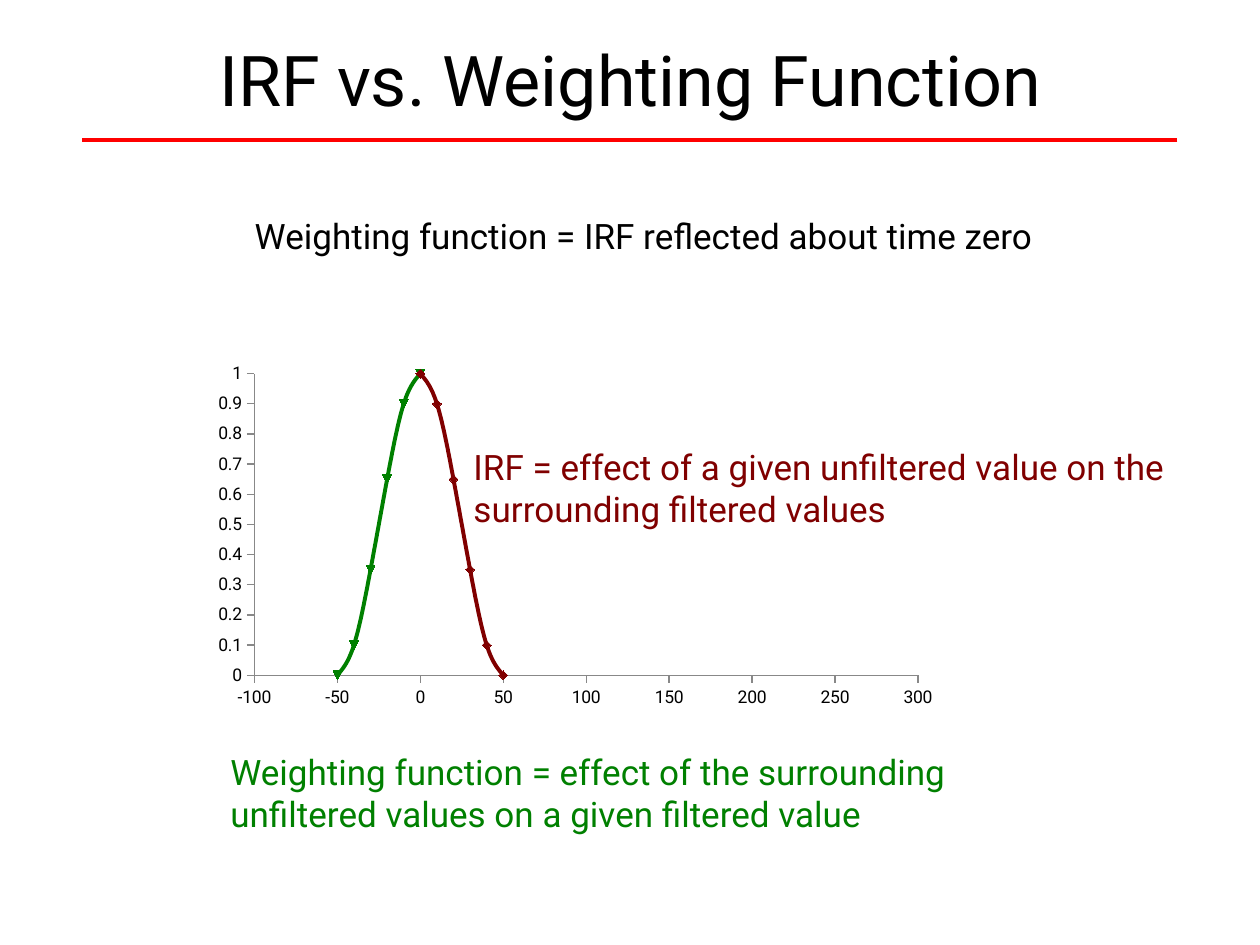
import math

import pptx
import pptx.chart.data
import pptx.dml.color
import pptx.enum.chart
import pptx.enum.shapes
import pptx.enum.text
import pptx.util
from lxml import etree
from pptx.oxml import ns

WIDTH, HEIGHT = 10, 7.5
FONT = "Roboto"
BLACK, RED, MAROON, GREEN, GRAY = "000000", "FF0000", "800000", "008000", "888888"
HALF_WIDTH, STEP, LAST_TIME = 50, 10, 250


def color(hex_value):
    """Return the colour for a hex string."""
    return pptx.dml.color.RGBColor.from_string(hex_value)


def place(left, top, width, height):
    """Convert a box given in percent of the slide to lengths."""
    return [pptx.util.Inches(percent * side / 100)
            for percent, side in zip((left, top, width, height), (WIDTH, HEIGHT) * 2)]


def style_font(font, size, hex_value):
    """Set typeface, size and colour."""
    font.name = FONT
    font.size = pptx.util.Pt(size)
    font.color.rgb = color(hex_value)


def style_line(line, hex_value, width):
    """Set line colour and width in points."""
    line.color.rgb = color(hex_value)
    line.width = pptx.util.Pt(width)


def write(frame, words, size, hex_value, align):
    """Write one aligned run into a wrapping text frame."""
    frame.word_wrap = True
    paragraph = frame.paragraphs[0]
    paragraph.alignment = align
    run = paragraph.add_run()
    run.text = words
    style_font(run.font, size, hex_value)


def add_title(slide, words):
    """Fill the title placeholder across the top of the slide."""
    title = slide.shapes.title
    title.left, title.top, title.width, title.height = place(5, 0, 90, 16.67)
    title.text_frame.vertical_anchor = pptx.enum.text.MSO_ANCHOR.MIDDLE
    write(title.text_frame, words, 40, BLACK, pptx.enum.text.PP_ALIGN.CENTER)


def add_rule(slide, margin, height):
    """Draw the red rule below the title."""
    left, top, right, bottom = place(margin, height, 100 - margin, height)
    rule = slide.shapes.add_connector(
        pptx.enum.shapes.MSO_CONNECTOR.STRAIGHT, right, top, left, bottom)
    style_line(rule.line, RED, 2.25)
    etree.SubElement(rule._element.spPr, ns.qn("a:effectLst"))


def add_statement(slide, box, words, hex_value, align=pptx.enum.text.PP_ALIGN.LEFT):
    """Add a 20 point statement."""
    statement = slide.shapes.add_textbox(*place(*box))
    write(statement.text_frame, words, 20, hex_value, align)
    statement.text_frame.auto_size = pptx.enum.text.MSO_AUTO_SIZE.SHAPE_TO_FIT_TEXT


def set_plot_area(chart, **percents):
    """Fix the inner plot area in percent of the chart."""
    plot_area = chart._chartSpace.chart.plotArea
    for old in plot_area.findall(ns.qn("c:layout")):
        plot_area.remove(old)
    layout = etree.Element(ns.qn("c:layout"))
    manual = etree.SubElement(layout, ns.qn("c:manualLayout"))
    settings = {"layoutTarget": "inner", "xMode": "edge", "yMode": "edge"}
    settings.update((side, percent / 100) for side, percent in percents.items())
    for tag, value in settings.items():
        etree.SubElement(manual, ns.qn(f"c:{tag}")).set("val", str(value))
    plot_area.insert(0, layout)


def style_axis(axis, low, high, unit):
    """Set the scale of an axis and show it without gridlines."""
    axis.minimum_scale, axis.maximum_scale, axis.major_unit = low, high, unit
    axis.has_major_gridlines = False
    axis.major_tick_mark = pptx.enum.chart.XL_TICK_MARK.OUTSIDE
    axis.minor_tick_mark = pptx.enum.chart.XL_TICK_MARK.NONE
    axis.crosses = pptx.enum.chart.XL_AXIS_CROSSES.MINIMUM
    axis.tick_labels.number_format = "General"
    axis.tick_labels.number_format_is_linked = False
    style_line(axis.format.line, GRAY, 0.75)


def style_curve(curve, hex_value):
    """Smooth and colour a curve, leaving gaps where it has no value."""
    curve._element.find(ns.qn("c:smooth")).set("val", "1")
    for point in list(curve._element.iter(ns.qn("c:pt"))):
        if point.findtext(ns.qn("c:v")) == "None":
            point.getparent().remove(point)
    style_line(curve.format.line, hex_value, 2.25)
    curve.marker.style = pptx.enum.chart.XL_MARKER_STYLE.AUTOMATIC
    curve.marker.size = 5
    curve.marker.format.fill.solid()
    curve.marker.format.fill.fore_color.rgb = color(hex_value)
    style_line(curve.marker.format.line, hex_value, 0.75)


def add_response_chart(slide, box):
    """Plot the two halves of a raised cosine around time zero."""
    halves = [("Series 1", MAROON, 0, HALF_WIDTH),
              ("Series 2", GREEN, -HALF_WIDTH, 0)]
    data = pptx.chart.data.XyChartData()
    for name, _, start, end in halves:
        half = data.add_series(name)
        for time in range(-HALF_WIDTH, LAST_TIME + 1, STEP):
            weight = round((1 + math.cos(math.pi * time / HALF_WIDTH)) / 2, 2)
            half.add_data_point(time, weight if start <= time <= end else None)
    chart = slide.shapes.add_chart(
        pptx.enum.chart.XL_CHART_TYPE.XY_SCATTER_SMOOTH, *place(*box), data).chart
    chart.has_legend = chart.has_title = False
    style_font(chart.font, 10, BLACK)
    chart.plots[0].vary_by_categories = False
    for curve, (_, hex_value, _, _) in zip(chart.plots[0].series, halves):
        style_curve(curve, hex_value)
    style_axis(chart.category_axis, -100, 300, 50)
    style_axis(chart.value_axis, 0, 1, 0.1)
    set_plot_area(chart, x=8.1, y=5.1, w=87.2, h=79.8)


def main():
    """Build and save the slide."""
    deck = pptx.Presentation()
    deck.slide_width, deck.slide_height = pptx.util.Inches(WIDTH), pptx.util.Inches(HEIGHT)
    slide = deck.slides.add_slide(deck.slide_layouts[5])
    add_title(slide, "IRF vs. Weighting Function")
    add_rule(slide, 6.55, 14.8)
    add_statement(slide, (7.3, 22, 87.6, 5.9),
                  "Weighting function = IRF reflected about time zero",
                  BLACK, pptx.enum.text.PP_ALIGN.CENTER)
    add_response_chart(slide, (15.3, 37.5, 60.4, 40))
    add_statement(slide, (36.6, 46.45, 60.7, 10.3),
                  "IRF = effect of a given unfiltered value on the "
                  "surrounding filtered values", MAROON)
    add_statement(slide, (17.3, 78.8, 66.4, 10.3),
                  "Weighting function = effect of the surrounding "
                  "unfiltered values on a given filtered value", GREEN)
    deck.save("out.pptx")


if __name__ == "__main__":
    main()
